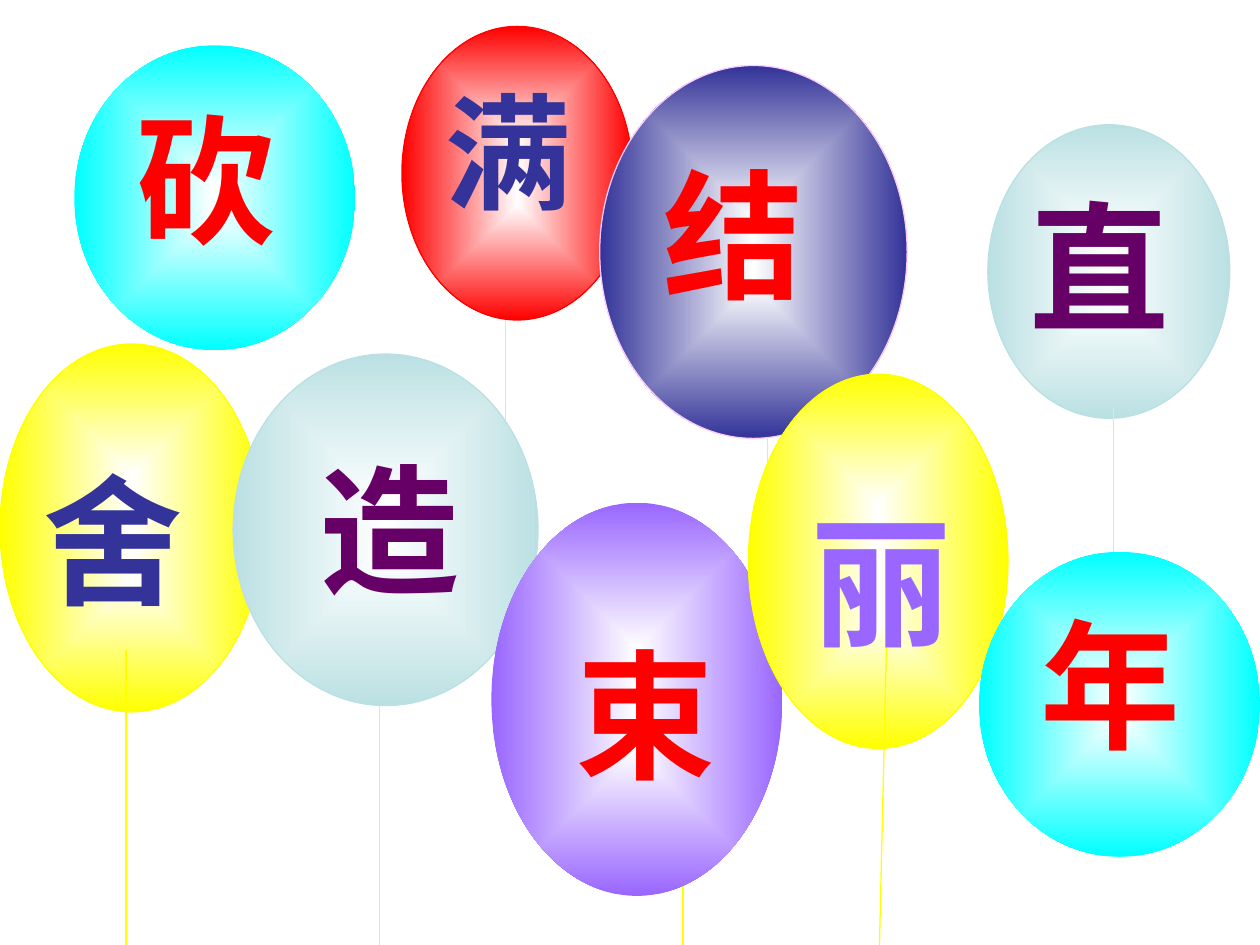
from lxml import etree
from pptx import Presentation
from pptx.dml.color import RGBColor
from pptx.enum import shapes, text
from pptx.oxml import ns
from pptx.util import Inches, Pt

COLORS = {
    "aqua": "00FFFF", "red": "FF0000", "navy": "333399", "pink": "FFCCFF",
    "mist": "BBE0E3", "yellow": "FFFF00", "violet": "9966FF",
    "plum": "660066", "white": "FFFFFF",
}
SERIF = "Times New Roman"
SANS = "Noto Sans CJK SC"

# character, size, font, text colour, text position, balloon box, fill, outline, string
BALLOONS = [
    ("砍", 80, SERIF, "red", (0.98, 0.69), (0.59, 0.36, 2.23, 2.42), "aqua", None, None),
    ("满", 72, SERIF, "navy", (3.44, 0.54), (3.19, 0.21, 1.83, 2.33), "red", "red",
     (4.01, 2.54, 4.01, 5.12)),
    ("结", 80, SANS, "red", (5.17, 1.13), (4.76, 0.52, 2.44, 2.96), "navy", "pink",
     (6.09, 3.48, 6.09, 6.17)),
    ("直", 80, SANS, "plum", (8.07, 1.38), (7.84, 0.99, 1.92, 2.33), "mist", "mist",
     (8.84, 3.24, 8.84, 5.83)),
    ("舍", 80, SERIF, "navy", (0.25, 3.56), (0, 2.73, 2.09, 2.92), "yellow", "yellow",
     (1, 5.16, 1, 7.5)),
    ("造", 80, SERIF, "plum", (2.44, 3.47), (1.85, 2.81, 2.42, 2.79), "mist", "mist",
     (3.01, 5.6, 3.01, 7.5)),
    ("束", 80, SERIF, "red", (4.47, 4.94), (3.9, 3.99, 2.31, 3.12), "violet", None, None),
    ("丽", 80, SERIF, "violet", (6.34, 3.88), (5.94, 2.97, 2.06, 2.97), "yellow", "yellow",
     (7.04, 4.92, 6.98, 7.5)),
    ("年", 80, SERIF, "red", (8.16, 4.7), (7.77, 4.38, 2.23, 2.42), "aqua", None, None),
]


def rgb(name):
    return RGBColor.from_string(COLORS[name])


def add_string(parent, ends):
    c = parent.shapes.add_connector(
        shapes.MSO_CONNECTOR.STRAIGHT, *[Inches(v) for v in ends])
    c.line.color.rgb = rgb("yellow")
    c.line.width = Pt(0.75)
    etree.SubElement(c._element.spPr, ns.qn("a:effectLst"))


def fill_from_center(sp, color):
    sp.fill.gradient()
    for stop, name, position in zip(sp.fill.gradient_stops, ("white", color), (0, 1)):
        stop.color.rgb = rgb(name)
        stop.position = position
    grad = sp._element.spPr.find(ns.qn("a:gradFill"))
    grad.remove(grad.find(ns.qn("a:lin")))
    shade = etree.SubElement(grad, ns.qn("a:path"), path="rect")
    etree.SubElement(shade, ns.qn("a:fillToRect"),
                     l="50000", t="50000", r="50000", b="50000")


def add_oval(parent, box, fill, outline):
    sp = parent.shapes.add_shape(
        shapes.MSO_SHAPE.OVAL, *[Inches(v) for v in box])
    sp.shadow.inherit = False
    fill_from_center(sp, fill)
    if outline:
        sp.line.color.rgb = rgb(outline)
        sp.line.width = Pt(0.75)
    else:
        sp.line.fill.background()


def add_character(parent, char, size, font, color, position):
    left, top = position
    tb = parent.shapes.add_textbox(
        Inches(left), Inches(top), Inches(1.31), Inches(1.44 if size == 80 else 1.3))
    tf = tb.text_frame
    tf.word_wrap = False
    tf.auto_size = text.MSO_AUTO_SIZE.SHAPE_TO_FIT_TEXT
    tf.text = char
    p = tf.paragraphs[0]
    p.alignment = text.PP_ALIGN.LEFT
    r = p.runs[0]
    r.font.size = Pt(size)
    r.font.bold = True
    r.font.name = font
    r.font.color.rgb = rgb(color)
    etree.SubElement(r.font._element, ns.qn("a:ea"), typeface=SANS)


def add_balloon(s, char, size, font, color, position, box, fill, outline, string):
    group = s.shapes.add_group_shape()
    add_oval(group, box, fill, outline)
    if string:
        add_string(group, string)
    add_character(group, char, size, font, color, position)


def main():
    prs = Presentation()
    prs.slide_width, prs.slide_height = Inches(10), Inches(7.5)
    s = prs.slides.add_slide(prs.slide_layouts[6])
    add_string(s, (5.42, 7, 5.42, 7.5))
    for balloon in BALLOONS:
        add_balloon(s, *balloon)
    prs.save("out.pptx")


if __name__ == "__main__":
    main()
